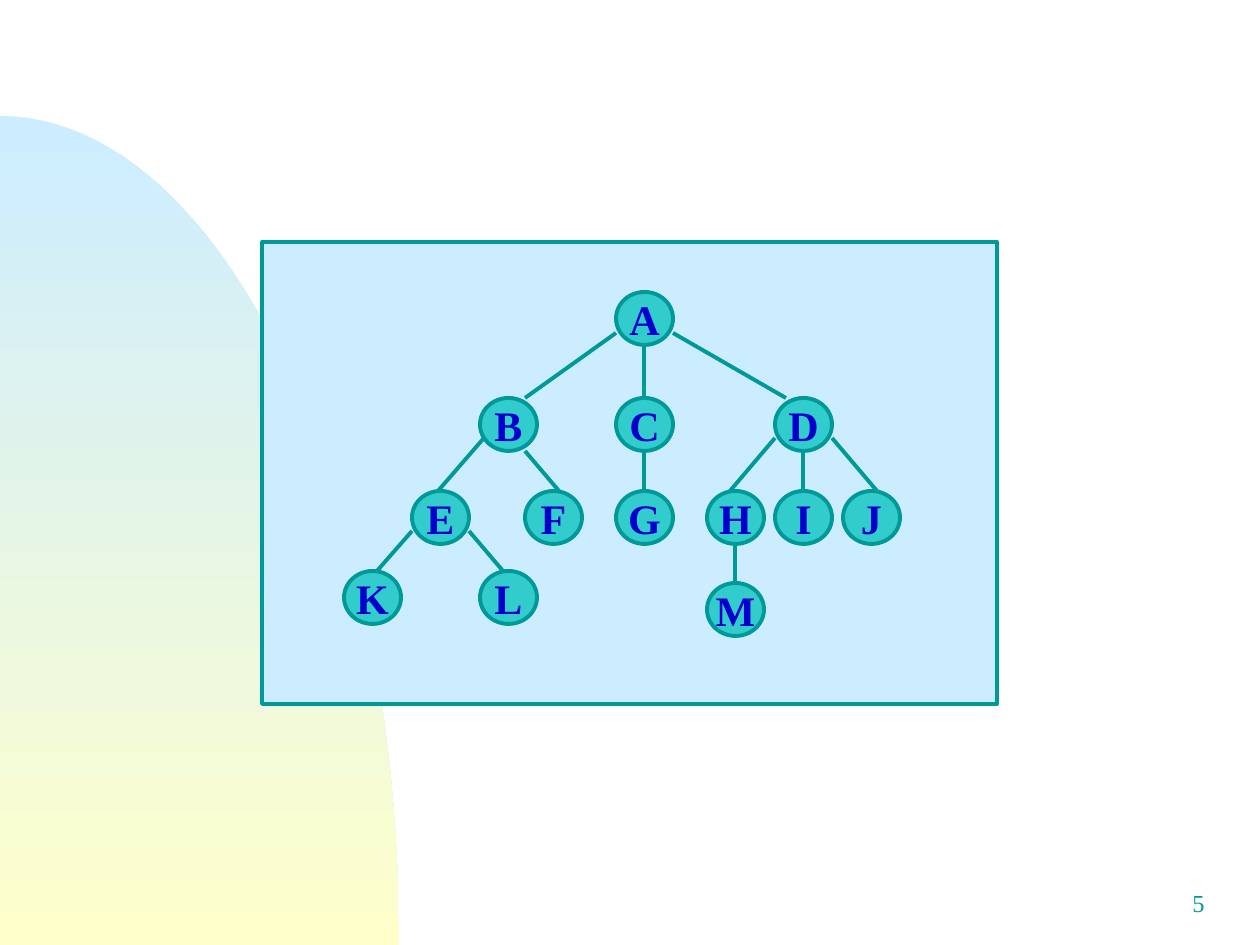
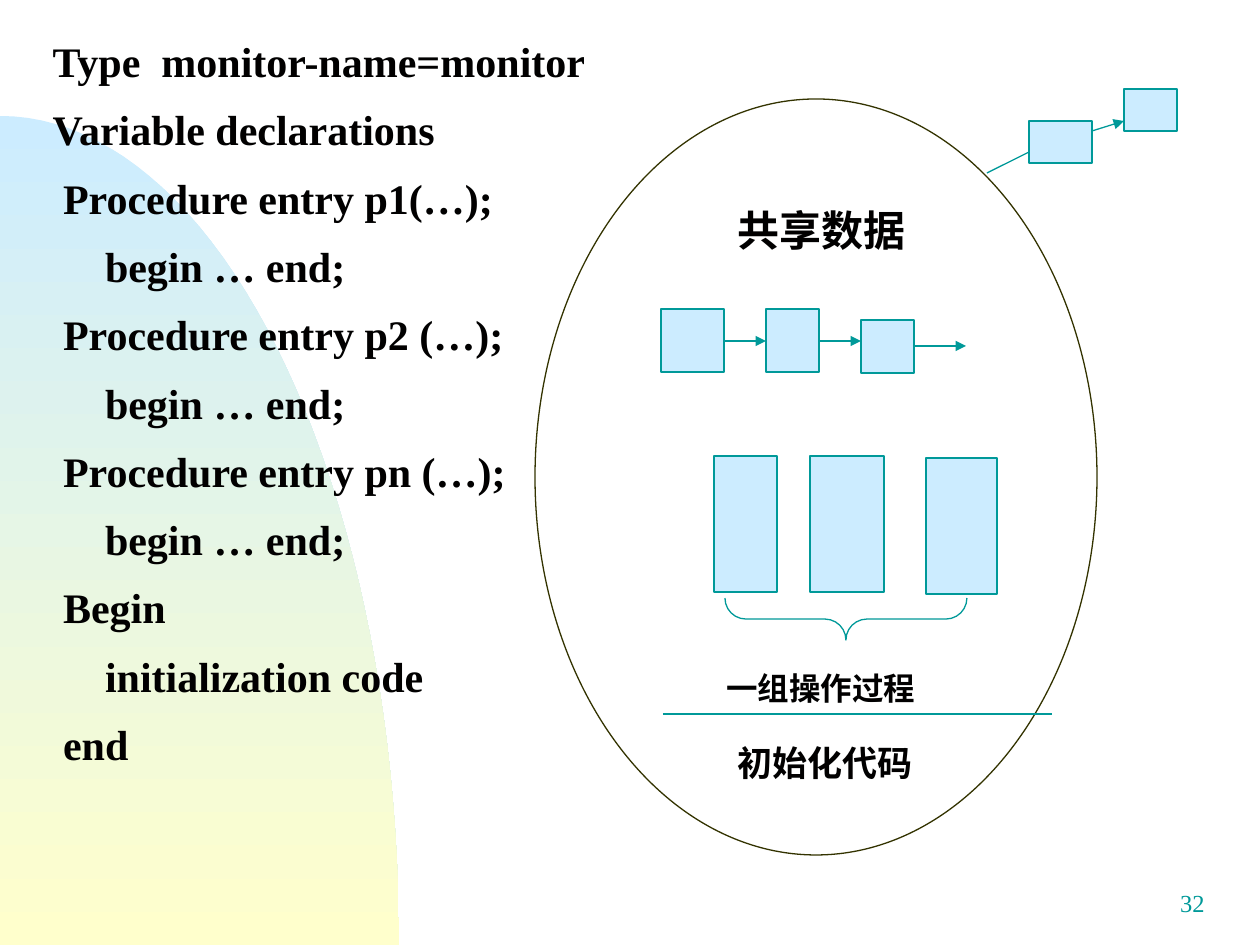
from dataclasses import dataclass
from math import cos, radians, sin

from lxml import etree
from pptx import Presentation
from pptx import util as u
from pptx.dml.color import RGBColor
from pptx.enum import shapes as kinds
from pptx.enum import text as texts
from pptx.oxml.ns import qn

# Shared scale, colours and fonts
EMU_PER_PX = 914400 / 126
WIDTH, HEIGHT = 1260, 945
SKY = RGBColor(0xCC, 0xEC, 0xFF)
CREAM = RGBColor(0xFF, 0xFF, 0xCC)
TEAL = RGBColor(0x00, 0x99, 0x99)
AQUA = RGBColor(0x33, 0xCC, 0xCC)
BLUE = RGBColor(0x00, 0x00, 0xCC)
OLIVE = RGBColor(0x33, 0x33, 0x00)
INK = RGBColor(0x01, 0x00, 0x00)
SERIF, SANS = "Times New Roman", "Arial"
THICK, THIN = 2.25, 0.75
SHAPE = kinds.MSO_SHAPE


@dataclass(frozen=True)
class Area:
    left: int
    top: int
    width: int
    height: int


@dataclass(frozen=True)
class Line:
    x1: int
    y1: int
    x2: int
    y2: int
    arrow: bool = False


@dataclass(frozen=True)
class Label:
    text: str
    area: Area
    size: int


@dataclass(frozen=True)
class Edge:
    """Start offset in the parent node and x offset on the child's top."""
    parent: str
    child: str
    start_x: int = 28
    start_y: int = 53
    end_x: int = 28


# Tree slide
TREE_FRAME = Area(262, 242, 735, 462)
NODE_WIDTH, NODE_HEIGHT = 57, 53
NODES = {
    "A": (616, 292),
    "B": (480, 398), "C": (616, 398), "D": (775, 398),
    "E": (412, 491), "F": (525, 491), "G": (616, 491),
    "H": (707, 491), "I": (775, 491), "J": (843, 491),
    "K": (344, 571), "L": (480, 571), "M": (707, 583),
}
EDGES = [
    Edge("A", "B", 0, 41, 45), Edge("A", "C"), Edge("A", "D", 57, 41, 11),
    Edge("B", "E", 4, 40, 26), Edge("B", "F", 45, 53, 34), Edge("C", "G"),
    Edge("D", "H", 0, 40, 23), Edge("D", "I"), Edge("D", "J", 57, 40, 34),
    Edge("E", "K", 0, 40, 33), Edge("E", "L", 57, 40, 23), Edge("H", "M"),
]

# Monitor slide
MONITOR = Area(535, 99, 562, 756)
BRACE = Area(825, 498, 42, 242)
BLOCKS = [
    Area(714, 456, 63, 136), Area(810, 456, 74, 136), Area(926, 458, 71, 136),
    Area(661, 309, 63, 63), Area(766, 309, 53, 63), Area(861, 320, 53, 53),
    Area(1029, 121, 63, 42), Area(1124, 89, 53, 42),
]
LINKS = [
    Line(663, 714, 1052, 714),
    Line(724, 341, 766, 341, True),
    Line(819, 341, 861, 341, True),
    Line(913, 346, 966, 346, True),
    Line(987, 173, 1029, 152),
    Line(1092, 131, 1124, 121, True),
]
LABELS = [
    Label("共享数据", Area(725, 204, 231, 58), 24),
    Label("一组操作过程", Area(714, 667, 284, 47), 18),
    Label("初始化代码", Area(725, 740, 252, 50), 20),
]
CODE_AREA = Area(40, 39, 1179, 843)
CODE = [
    "Type  monitor-name=monitor",
    "Variable declarations",
    " Procedure entry p1(…);",
    "     begin … end;",
    " Procedure entry p2 (…);",
    "     begin … end;",
    " Procedure entry pn (…);",
    "     begin … end;",
    " Begin",
    "     initialization code",
    " end",
]


def px(length: float) -> u.Emu:
    return u.Emu(round(length * EMU_PER_PX))


def place(area: Area) -> tuple:
    return px(area.left), px(area.top), px(area.width), px(area.height)


def add_span(para, text: str, size: int, color: RGBColor,
             font: str = SERIF, bold: bool = True) -> None:
    span = para.add_run()
    span.text = text
    span.font.name = font
    span.font.size = u.Pt(size)
    span.font.bold = bold
    span.font.color.rgb = color


def add_box(page, kind, area: Area, fill: RGBColor | None = SKY,
            line: RGBColor = TEAL, weight: float = THIN):
    box = page.shapes.add_shape(kind, *place(area))
    box.shadow.inherit = False
    if fill is None:
        box.fill.background()
    else:
        box.fill.solid()
        box.fill.fore_color.rgb = fill
    box.line.color.rgb = line
    box.line.width = u.Pt(weight)
    return box


def add_line(page, line: Line, weight: float = THIN) -> None:
    link = page.shapes.add_connector(
        kinds.MSO_CONNECTOR.STRAIGHT,
        px(line.x1), px(line.y1), px(line.x2), px(line.y2))
    link.line.color.rgb = TEAL
    link.line.width = u.Pt(weight)
    if line.arrow:
        outline = link.line._get_or_add_ln()
        etree.SubElement(outline, qn("a:tailEnd"), type="triangle")
    etree.SubElement(link.element.spPr, qn("a:effectLst"))


def add_text(page, area: Area):
    box = page.shapes.add_textbox(*place(area))
    box.text_frame.word_wrap = True
    return box.text_frame.paragraphs[0]


def add_label(page, label: Label) -> None:
    para = add_text(page, label.area)
    para.line_spacing = 0.9
    add_span(para, label.text, label.size, INK, SANS)


def add_backdrop(page, number: int) -> None:
    """Quarter ellipse in the lower left corner, and the page number."""
    top, radius_x, radius_y = 116, 399, 829
    curve = [(px(radius_x * sin(radians(angle))),
              px(top + radius_y * (1 - cos(radians(angle)))))
             for angle in range(0, 91, 2)]
    builder = page.shapes.build_freeform(0, px(HEIGHT))
    builder.add_line_segments(curve, close=True)
    dome = builder.convert_to_shape()
    dome.shadow.inherit = False
    dome.line.fill.background()
    dome.fill.gradient()
    dome.fill.gradient_angle = 270
    for stop, color in zip(dome.fill.gradient_stops, (SKY, CREAM)):
        stop.color.rgb = color

    para = add_text(page, Area(955, 882, 262, 63))
    para.alignment = texts.PP_ALIGN.RIGHT
    add_span(para, str(number), 14, TEAL, bold=False)


def add_node(page, name: str) -> None:
    area = Area(*NODES[name], NODE_WIDTH, NODE_HEIGHT)
    node = add_box(page, SHAPE.OVAL, area, AQUA, weight=THICK)
    frame = node.text_frame
    frame.word_wrap = False
    frame.vertical_anchor = texts.MSO_ANCHOR.MIDDLE
    para = frame.paragraphs[0]
    para.alignment = texts.PP_ALIGN.CENTER
    add_span(para, name, 24, BLUE)


def add_edge(page, edge: Edge) -> None:
    x1, y1 = NODES[edge.parent]
    x2, y2 = NODES[edge.child]
    add_line(page, Line(x1 + edge.start_x, y1 + edge.start_y,
                        x2 + edge.end_x, y2), THICK)


def fill_code(body) -> None:
    body.left, body.top, body.width, body.height = place(CODE_AREA)
    frame = body.text_frame
    frame.auto_size = texts.MSO_AUTO_SIZE.NONE
    for index, text in enumerate(CODE):
        para = frame.add_paragraph() if index else frame.paragraphs[0]
        settings = para._p.get_or_add_pPr()
        settings.set("marL", str(px(48)))
        settings.set("indent", str(px(-48)))
        etree.SubElement(settings, qn("a:buNone"))
        para.line_spacing = 0.8
        para.space_before = u.Pt(16 if index else 0)
        add_span(para, text, 24, INK)


def build_tree(deck) -> None:
    page = deck.slides.add_slide(deck.slide_layouts[6])
    add_backdrop(page, 5)
    add_box(page, SHAPE.RECTANGLE, TREE_FRAME, weight=THICK)
    for name in NODES:
        add_node(page, name)
    for edge in EDGES:
        add_edge(page, edge)


def build_monitor(deck) -> None:
    page = deck.slides.add_slide(deck.slide_layouts[1])
    title = page.shapes.title.element
    title.getparent().remove(title)
    body = page.placeholders[1]
    add_backdrop(page, 32)
    add_box(page, SHAPE.OVAL, MONITOR, None, OLIVE)
    for block in BLOCKS:
        add_box(page, SHAPE.RECTANGLE, block)
    brace = add_box(page, SHAPE.LEFT_BRACE, BRACE, None)
    brace.rotation = 270
    brace.adjustments[0] = 0.5
    for link in LINKS:
        add_line(page, link)
    for label in LABELS:
        add_label(page, label)
    # The code goes in front of the backdrop
    body.element.getparent().append(body.element)
    fill_code(body)


def main() -> None:
    deck = Presentation()
    deck.slide_width, deck.slide_height = px(WIDTH), px(HEIGHT)
    build_tree(deck)
    build_monitor(deck)
    deck.save("out.pptx")


if __name__ == "__main__":
    main()
